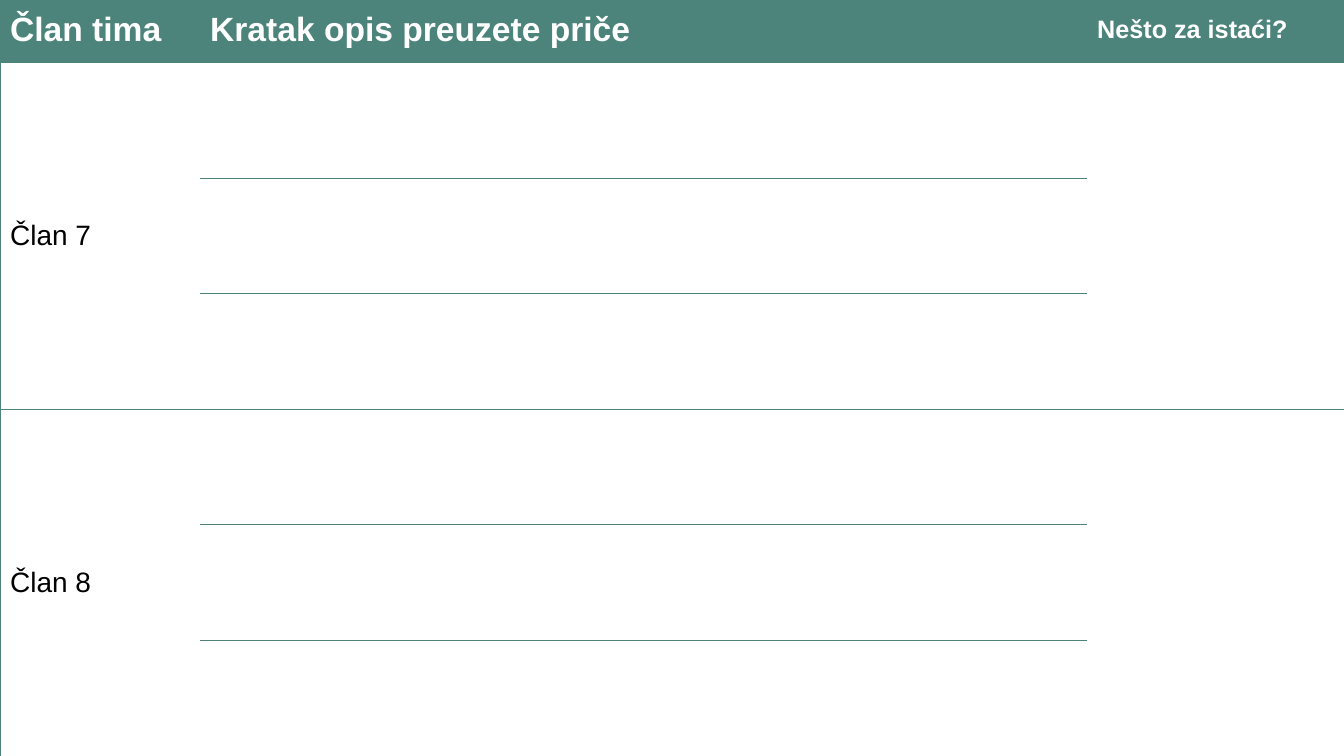
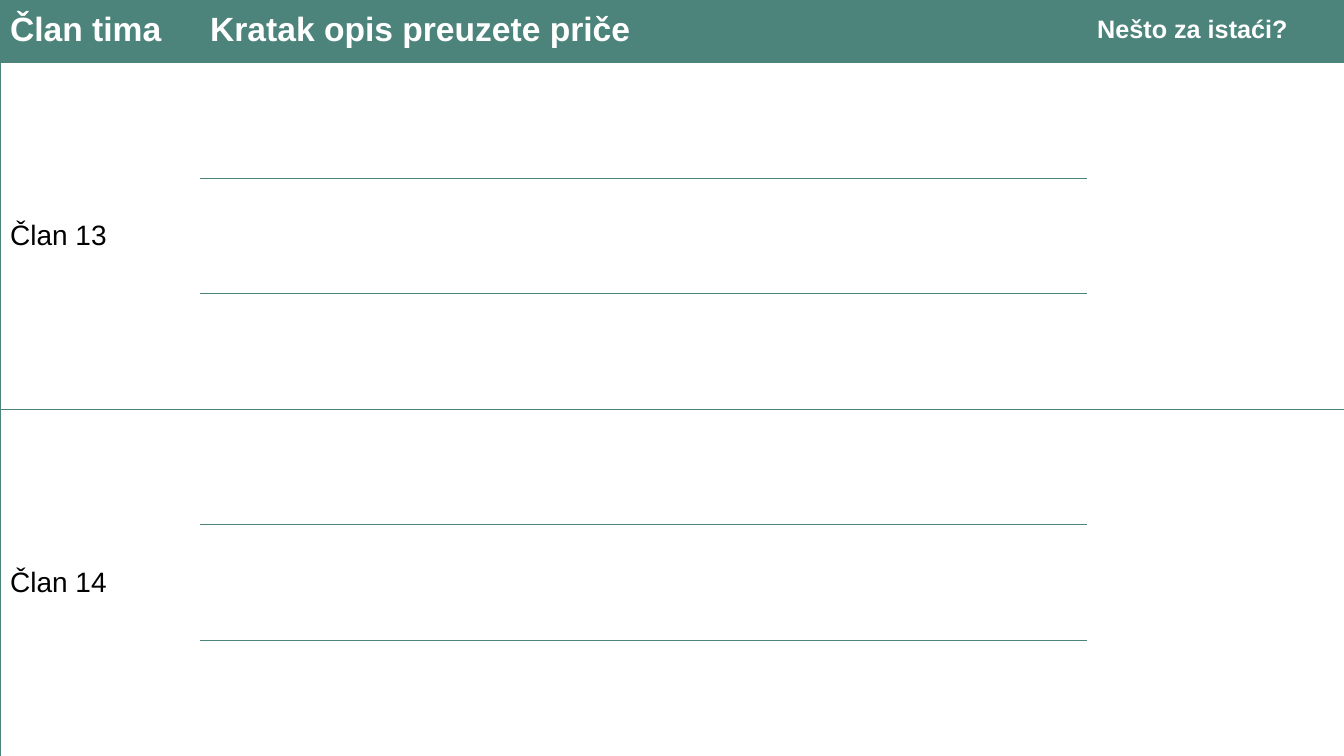
import pptx
import pptx.dml.color
import pptx.enum.text
import pptx.oxml
import pptx.oxml.ns
import pptx.util
from pptx.util import Cm

TEAL, WHITE, BLACK = "4C847B", "FFFFFF", "000000"
FONT = "Arial"
HEADINGS = [("Član tima", 24), ("Kratak opis preuzete priče", 24), ("Nešto za istaći?", 18)]
COLUMN_SHARES = (5.04, 22.35, 6.5)
HEADER_HEIGHT = Cm(1.65)
LINES_PER_MEMBER = 3
SLIDE_MEMBERS = [("Član 7", "Član 8"), ("Član 13", "Član 14")]


def color(hex_code):
    return pptx.dml.color.RGBColor.from_string(hex_code)


def write(cell, text, size, hex_code, bold=False):
    cell.vertical_anchor = pptx.enum.text.MSO_ANCHOR.MIDDLE
    run = cell.text_frame.paragraphs[0].add_run()
    run.text = text
    run.font.name = FONT
    run.font.size = pptx.util.Pt(size)
    run.font.bold = bold
    run.font.color.rgb = color(hex_code)


def set_borders(cell, sides):
    """Rule the given sides (letters from LRTB) and clear the others."""
    properties = cell._tc.get_or_add_tcPr()
    for position, side in enumerate("LRTB"):
        paint = (f'<a:solidFill><a:srgbClr val="{TEAL}"/></a:solidFill>'
                 if side in sides else "<a:noFill/>")
        properties.insert(position, pptx.oxml.parse_xml(
            f'<a:ln{side} {pptx.oxml.ns.nsdecls("a")} w="6350">{paint}</a:ln{side}>'))


def style_cell(cell, row, column):
    if row == 0:
        cell.fill.solid()
        cell.fill.fore_color.rgb = color(TEAL)
    else:
        cell.fill.background()
    # The story column is ruled on every line, the others once per member
    line = (row - 1) % LINES_PER_MEMBER
    sides = ("L", "", "R")[column]
    if row == 0 or column == 1 or line == 0:
        sides += "TB"
    elif line == LINES_PER_MEMBER - 1:
        sides += "B"
    set_borders(cell, sides)


def add_member_table(slide, left, top, width, height, members):
    row_count = 1 + LINES_PER_MEMBER * len(members)
    table = slide.shapes.add_table(
        row_count, len(HEADINGS), left, top, width, height).table
    table.first_row = table.horz_banding = False

    # Grid
    for column, share in zip(table.columns, COLUMN_SHARES):
        column.width = int(width * share / sum(COLUMN_SHARES))
    line_height = (height - HEADER_HEIGHT) // (row_count - 1)
    for index, row in enumerate(table.rows):
        row.height = line_height if index else HEADER_HEIGHT
        for column in range(len(HEADINGS)):
            style_cell(table.cell(index, column), index, column)

    # Header
    for column, (heading, size) in enumerate(HEADINGS):
        write(table.cell(0, column), heading, size, WHITE, bold=True)

    # Members, each with a joined name cell and highlight cell
    for index, member in enumerate(members):
        first = 1 + index * LINES_PER_MEMBER
        last = first + LINES_PER_MEMBER - 1
        for column in (0, 2):
            table.cell(first, column).merge(table.cell(last, column))
        write(table.cell(first, 0), member, 20, BLACK)


def main():
    deck = pptx.Presentation()
    deck.slide_width, deck.slide_height = Cm(33.87), Cm(19.05)
    blank = deck.slide_layouts[6]
    for members in SLIDE_MEMBERS:
        slide = deck.slides.add_slide(blank)
        add_member_table(slide, Cm(0), Cm(-0.07), Cm(33.9), Cm(19.12), members)
    deck.save("out.pptx")


if __name__ == "__main__":
    main()
